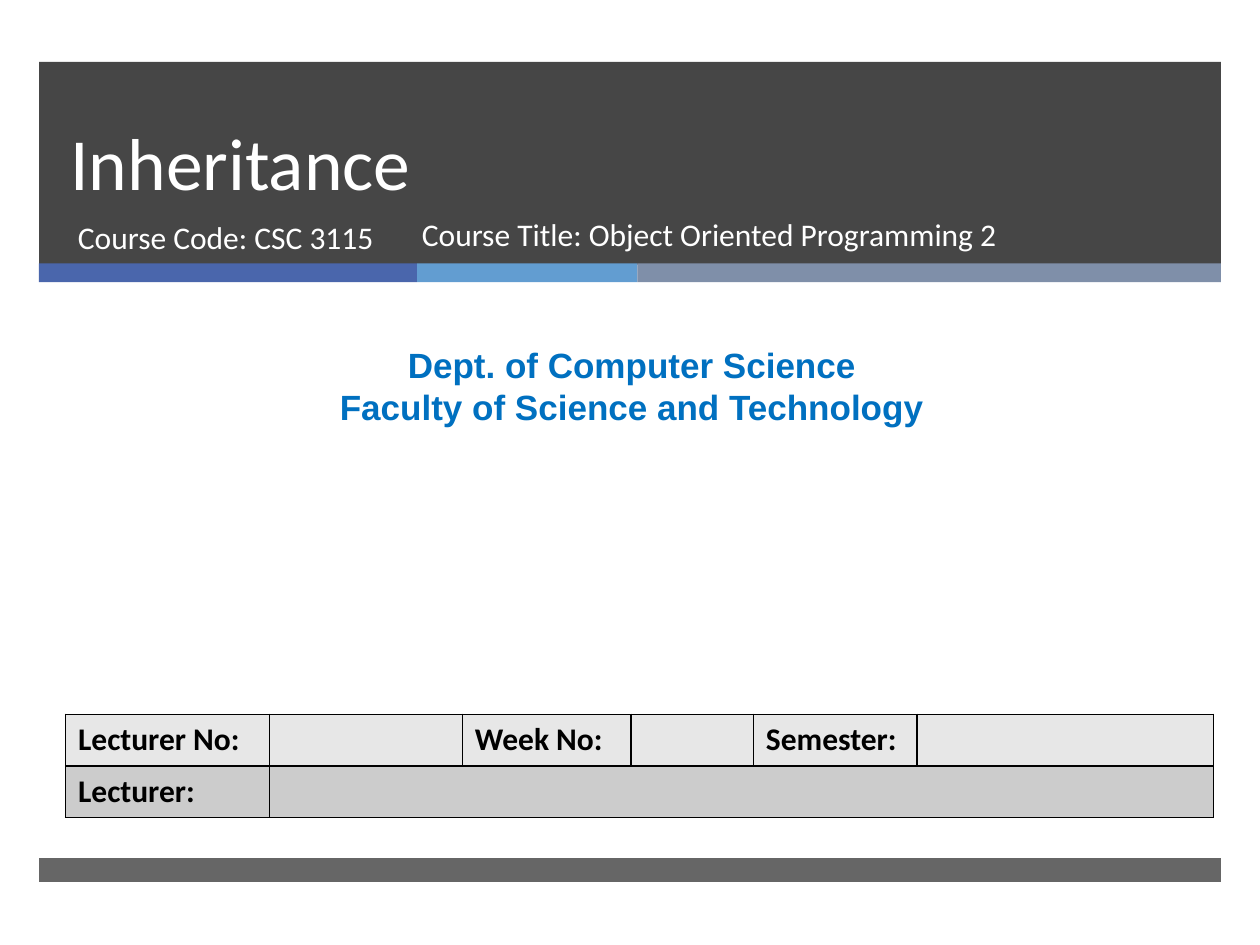
from itertools import accumulate

from lxml import etree
from pptx import Presentation, util as u
from pptx.dml.color import RGBColor
from pptx.enum import shapes, text
from pptx.oxml import ns

WHITE = RGBColor(0xFF, 0xFF, 0xFF)
BLACK = RGBColor(0, 0, 0)
CHARCOAL = RGBColor(0x26, 0x26, 0x26)
INDIGO = RGBColor(0x4A, 0x66, 0xAC)
SKY = RGBColor(0x62, 0x9D, 0xD1)
SLATE = RGBColor(0x7F, 0x8F, 0xA9)
BLUE = RGBColor(0x00, 0x70, 0xC0)
LIGHT_GRAY = RGBColor(0xE7, 0xE7, 0xE7)
MID_GRAY = RGBColor(0xCC, 0xCC, 0xCC)

MARGIN = 0.31
STRIPES = ((3, INDIGO), (1.75, SKY), (4.63, SLATE))
BAND_WIDTH = sum(width for width, _ in STRIPES)
COLUMNS = (1.62, 1.53, 1.34, 0.97, 1.3, 2.35)
ROW_HEIGHT = 0.41
ROWS = (
    (("Lecturer No:", "", "Week No:", "", "Semester:", ""), LIGHT_GRAY),
    (("Lecturer:", "", "", "", "", ""), MID_GRAY),
)


def inches(*lengths):
    return [u.Inches(length) for length in lengths]


def write(frame, content, size=18, font="Calibri", color=WHITE, bold=False,
          align=text.PP_ALIGN.LEFT, spacing=None):
    frame.word_wrap = True
    for index, line in enumerate(content.split("\n")):
        para = frame.paragraphs[0] if index == 0 else frame.add_paragraph()
        para.alignment = align
        para.line_spacing = spacing
        span = para.add_run()
        span.text = line
        span.font.size = u.Pt(size)
        span.font.name = font
        span.font.bold = bold
        span.font.color.rgb = color


def add_bar(page, left, top, width, height, color, opacity=100):
    bar = page.shapes.add_shape(shapes.MSO_SHAPE.RECTANGLE,
                                *inches(left, top, width, height))
    bar.shadow.inherit = False
    bar.line.fill.background()
    bar.fill.solid()
    bar.fill.fore_color.rgb = color
    if opacity < 100:
        shade = bar.element.spPr.find(".//" + ns.qn("a:srgbClr"))
        etree.SubElement(shade, ns.qn("a:alpha"), val=str(opacity * 1000))


def add_text(page, area, content, **style):
    box = page.shapes.add_textbox(*inches(*area))
    write(box.text_frame, content, **style)


def place_title(page, area, content, **style):
    title = page.shapes.title
    title.left, title.top, title.width, title.height = inches(*area)
    frame = title.text_frame
    frame.auto_size = text.MSO_AUTO_SIZE.NONE
    frame.vertical_anchor = text.MSO_ANCHOR.BOTTOM
    write(frame, content, **style)
    title.element.getparent().append(title.element)


def outline(cell, color, points):
    properties = cell._tc.get_or_add_tcPr()
    for index, side in enumerate(("lnL", "lnR", "lnT", "lnB")):
        line = etree.Element(ns.qn("a:" + side), w=str(u.Pt(points)))
        fill = etree.SubElement(line, ns.qn("a:solidFill"))
        etree.SubElement(fill, ns.qn("a:srgbClr"), val=str(color))
        properties.insert(index, line)


def add_details(page, left, top):
    frame = page.shapes.add_table(
        len(ROWS), len(COLUMNS),
        *inches(left, top, sum(COLUMNS), ROW_HEIGHT * len(ROWS)))
    table = frame.table
    for column, width in zip(table.columns, COLUMNS):
        column.width = u.Inches(width)
    for row, (labels, color) in zip(table.rows, ROWS):
        row.height = u.Inches(ROW_HEIGHT)
        for cell, label in zip(row.cells, labels):
            cell.fill.solid()
            cell.fill.fore_color.rgb = color
            outline(cell, BLACK, 1)
            if label:
                write(cell.text_frame, label, color=BLACK, bold=True)
    table.cell(1, 1).merge(table.cell(1, len(COLUMNS) - 1))


def main():
    deck = Presentation()
    deck.slide_width, deck.slide_height = inches(10, 7.5)
    page = deck.slides.add_slide(deck.slide_layouts[5])

    add_bar(page, MARGIN, 0.49, BAND_WIDTH, 1.61, CHARCOAL, opacity=85)
    edges = accumulate((width for width, _ in STRIPES), initial=MARGIN)
    for left, (width, color) in zip(edges, STRIPES):
        add_bar(page, left, 2.09, width, 0.15, color)
    add_bar(page, MARGIN, 6.81, BAND_WIDTH, 0.19, CHARCOAL, opacity=70)

    place_title(page, (0.46, 0.49, 8.54, 1.19), "Inheritance",
                size=42, spacing=u.Pt(46))
    add_text(page, (0.52, 1.68, 3.05, 0.53), "Course Code: CSC 3115")
    add_text(page, (0.08, 2.68, 9.87, 0.77),
             "Dept. of Computer Science\nFaculty of Science and Technology",
             size=20, font="Arial", color=BLUE, bold=True,
             align=text.PP_ALIGN.CENTER)
    add_details(page, 0.52, 5.67)
    add_text(page, (3.25, 1.66, 5.11, 0.53),
             "Course Title: Object Oriented Programming 2")
    deck.save("out.pptx")


if __name__ == "__main__":
    main()
